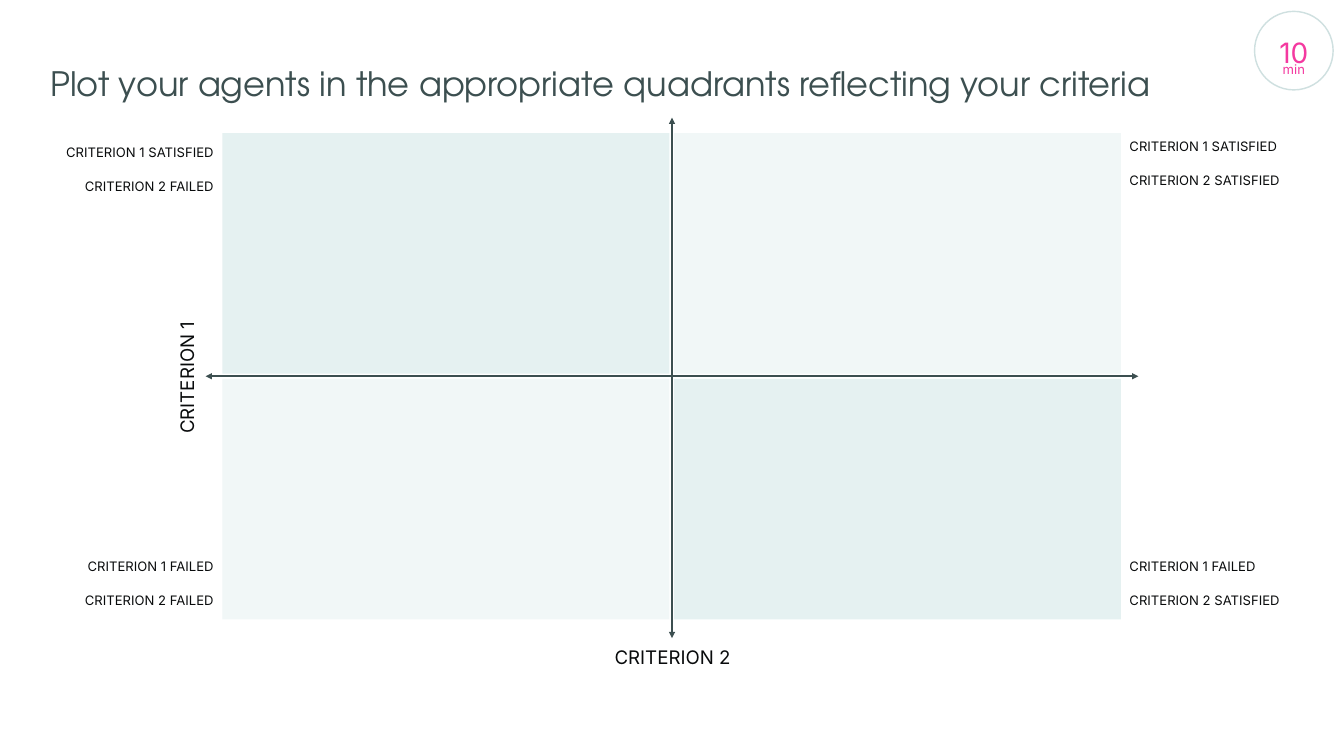
"""Build a quadrant slide for plotting agents against two criteria."""
from lxml import etree
from pptx import Presentation
from pptx.dml.color import RGBColor
from pptx.enum import shapes, text
from pptx.oxml import ns
from pptx.util import Pt

TITLE = "Plot your agents in the appropriate quadrants reflecting your criteria"
AXIS_NAMES = [
    ("CRITERION 1", 73.4, 385.2, 270),
    ("CRITERION 2", 594, 684.7, 0),
]
CORNERS = [
    ("left", 143.8, ["CRITERION 1 SATISFIED", "CRITERION 2 FAILED"]),
    ("left", 587.5, ["CRITERION 1 FAILED", "CRITERION 2 FAILED"]),
    ("right", 137.5, ["CRITERION 1 SATISFIED", "CRITERION 2 SATISFIED"]),
    ("right", 587.5, ["CRITERION 1 FAILED", "CRITERION 2 SATISFIED"]),
]
BADGE = [("10", 30), ("min", 14)]
AXES = [(720, 126, 720, 684), (1219.7, 403.2, 220.3, 403.2)]

SLATE = RGBColor(0x3C, 0x4F, 0x50)
INK = RGBColor(0x09, 0x0B, 0x0C)
PINK = RGBColor(0xF4, 0x39, 0xA0)
MINT = RGBColor(0xE5, 0xF1, 0xF1)
PALE = RGBColor(0xF1, 0xF7, 0xF7)
RING = RGBColor(0xCF, 0xE0, 0xE0)
WHITE = RGBColor(0xFF, 0xFF, 0xFF)

QUADRANT_LEFTS, QUADRANT_TOPS = (238.3, 722.2), (142.6, 406.1)
QUADRANT_WIDTH, QUADRANT_HEIGHT = 478.8, 257.8
LABEL_LEFTS = {"left": 53.3, "right": 1203.1}
LABEL_ALIGN = {"left": text.PP_ALIGN.RIGHT, "right": text.PP_ALIGN.LEFT}
LABEL_STEP, LABEL_HEIGHT = 36.4, 38.9


def write(box, lines, color=INK, font="Inter", align=text.PP_ALIGN.LEFT,
          insets=(7.2, 7.2, 7.2, 7.2), spacing=None):
    """Fill a shape with (words, size) lines, one paragraph each."""
    frame = box.text_frame
    frame.word_wrap = True
    frame.vertical_anchor = text.MSO_ANCHOR.MIDDLE
    frame.margin_left, frame.margin_top, frame.margin_right, frame.margin_bottom = map(Pt, insets)
    for index, (words, size) in enumerate(lines):
        para = frame.add_paragraph() if index else frame.paragraphs[0]
        para.alignment = align
        para.line_spacing = spacing
        span = para.add_run()
        span.text = words
        span.font.name, span.font.size = font, Pt(size)
        span.font.color.rgb = color


def add_filled(page, kind, bounds, fill):
    """Add a flat shape without an outline."""
    shape = page.shapes.add_shape(kind, *map(Pt, bounds))
    shape.shadow.inherit = False
    shape.fill.solid()
    shape.fill.fore_color.rgb = fill
    shape.line.fill.background()
    return shape


def add_axis(page, ends):
    """Add a straight axis with an arrowhead at both ends."""
    axis = page.shapes.add_connector(shapes.MSO_CONNECTOR.STRAIGHT, *map(Pt, ends))
    axis.line.color.rgb, axis.line.width = SLATE, Pt(2.25)
    outline = axis.line._get_or_add_ln()
    for end in ("a:headEnd", "a:tailEnd"):
        etree.SubElement(outline, ns.qn(end), type="triangle")
    etree.SubElement(axis._element.spPr, ns.qn("a:effectLst"))


def main():
    """Lay out the slide and save it."""
    deck = Presentation()
    deck.slide_width, deck.slide_height = Pt(1440), Pt(792)
    page = deck.slides.add_slide(deck.slide_layouts[6])

    for column, left in enumerate(QUADRANT_LEFTS):
        for row, top in enumerate(QUADRANT_TOPS):
            add_filled(page, shapes.MSO_SHAPE.RECTANGLE,
                       (left, top, QUADRANT_WIDTH, QUADRANT_HEIGHT),
                       MINT if row == column else PALE)
    for ends in AXES:
        add_axis(page, ends)

    title = page.shapes.add_textbox(Pt(54), Pt(53.3), Pt(1332), Pt(72))
    write(title, [(TITLE, 36)], color=SLATE, font="TeX Gyre Adventor", insets=(0, 0, 0, 0))

    for side, top, labels in CORNERS:
        for index, label in enumerate(labels):
            box = page.shapes.add_textbox(Pt(LABEL_LEFTS[side]), Pt(top + index * LABEL_STEP),
                                          Pt(182.9), Pt(LABEL_HEIGHT))
            write(box, [(label, 14)], align=LABEL_ALIGN[side])

    for name, left, top, rotation in AXIS_NAMES:
        box = page.shapes.add_textbox(Pt(left), Pt(top), Pt(253.4), Pt(LABEL_HEIGHT))
        box.rotation = rotation
        write(box, [(name, 20)], align=text.PP_ALIGN.CENTER)

    badge = add_filled(page, shapes.MSO_SHAPE.OVAL, (1344.2, 12.2, 84.2, 84.2), WHITE)
    badge.line.color.rgb, badge.line.width = RING, Pt(1.5)
    write(badge, BADGE, color=PINK, align=text.PP_ALIGN.CENTER,
          insets=(7.2, 24, 7.2, 0), spacing=0.6)

    deck.save("out.pptx")


if __name__ == "__main__":
    main()
